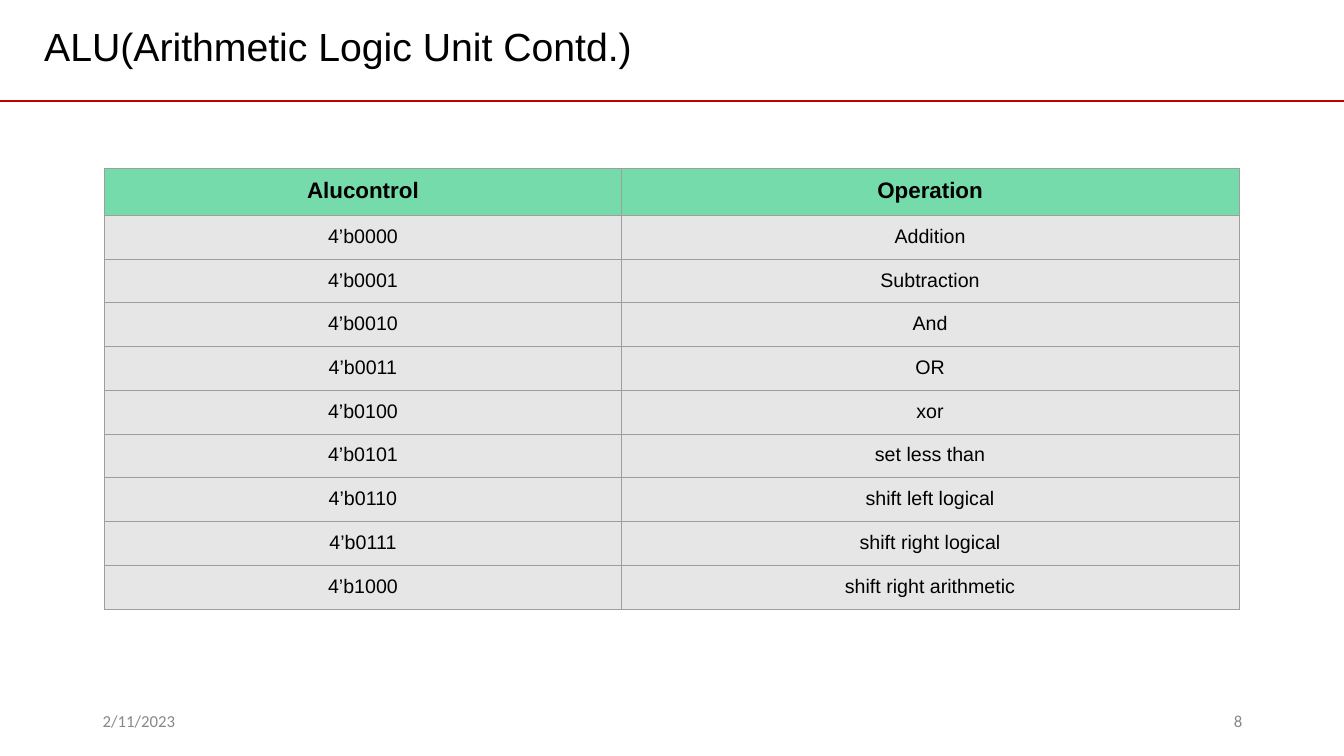
import pptx
import pptx.dml.color
import pptx.enum.shapes
import pptx.enum.text
import pptx.oxml
import pptx.oxml.ns
import pptx.util
from pptx.util import Inches

# Content
TITLE = "ALU(Arithmetic Logic Unit Contd.)"
DATE = "2/11/2023"
PAGE_NUMBER = "8"
HEADER = ("Alucontrol", "Operation")
OPERATIONS = ("Addition", "Subtraction", "And", "OR", "xor", "set less than",
              "shift left logical", "shift right logical", "shift right arithmetic")
ROWS = [HEADER] + [(f"4’b{code:04b}", name) for code, name in enumerate(OPERATIONS)]

# Layout and colours
WIDTH, HEIGHT = 13.33, 7.5
TABLE_LEFT, TABLE_TOP = 1.04, 1.67
COLUMN_WIDTHS = (5.12, 6.13)
ROW_HEIGHT = 0.42
BLACK, GREY, RED = "000000", "888888", "C00000"
HEADER_FILL, BODY_FILL, BORDER = "76DBAB", "E7E6E6", "9E9E9E"
ALIGN = pptx.enum.text.PP_ALIGN
ANCHOR = pptx.enum.text.MSO_ANCHOR


def color(value):
    return pptx.dml.color.RGBColor.from_string(value)


def write(frame, text, size=14, font="Arial", fill=BLACK, bold=False, align=ALIGN.LEFT):
    para = frame.paragraphs[0]
    para.alignment = align
    span = para.add_run()
    span.text = text
    span.font.size = pptx.util.Pt(size)
    span.font.name = font
    span.font.bold = bold
    span.font.color.rgb = color(fill)


def add_text(page, text, left, top, width, height, anchor=ANCHOR.TOP, **style):
    box = page.shapes.add_textbox(Inches(left), Inches(top), Inches(width), Inches(height))
    box.text_frame.word_wrap = True
    box.text_frame.vertical_anchor = anchor
    write(box.text_frame, text, **style)


def add_borders(cell):
    properties = cell._tc.get_or_add_tcPr()
    for index, side in enumerate(("lnL", "lnR", "lnT", "lnB")):
        properties.insert(index, pptx.oxml.parse_xml(
            f'<a:{side} {pptx.oxml.ns.nsdecls("a")} w="{pptx.util.Pt(0.75)}"><a:solidFill>'
            f'<a:srgbClr val="{BORDER}"/></a:solidFill></a:{side}>'))


def add_operations_table(page):
    frame = page.shapes.add_table(
        len(ROWS), len(HEADER), Inches(TABLE_LEFT), Inches(TABLE_TOP),
        Inches(sum(COLUMN_WIDTHS)), Inches(ROW_HEIGHT * len(ROWS)))
    table = frame.table
    for column, width in zip(table.columns, COLUMN_WIDTHS):
        column.width = Inches(width)
    for row_index, texts in enumerate(ROWS):
        is_header = row_index == 0
        table.rows[row_index].height = Inches(ROW_HEIGHT)
        for column_index, text in enumerate(texts):
            cell = table.cell(row_index, column_index)
            cell.margin_left = cell.margin_right = Inches(0.1)
            cell.margin_top = cell.margin_bottom = Inches(0.1)
            cell.fill.solid()
            cell.fill.fore_color.rgb = color(HEADER_FILL if is_header else BODY_FILL)
            add_borders(cell)
            write(cell.text_frame, text, size=16 if is_header else 14,
                  bold=is_header, align=ALIGN.CENTER)


def main():
    deck = pptx.Presentation()
    deck.slide_width, deck.slide_height = Inches(WIDTH), Inches(HEIGHT)
    page = deck.slides.add_slide(deck.slide_layouts[6])

    # Footer
    footer = dict(top=6.95, width=3, height=0.4, anchor=ANCHOR.MIDDLE,
                  size=12, font="Calibri", fill=GREY)
    add_text(page, DATE, left=0.92, **footer)
    add_text(page, PAGE_NUMBER, left=9.42, align=ALIGN.RIGHT, **footer)

    # Title and rule
    rule = page.shapes.add_connector(pptx.enum.shapes.MSO_CONNECTOR.STRAIGHT,
                                     0, Inches(1), Inches(WIDTH), Inches(1))
    rule.line.color.rgb = color(RED)
    rule.line.width = pptx.util.Pt(1.5)
    rule._element.spPr.append(pptx.oxml.parse_xml(
        f'<a:effectLst {pptx.oxml.ns.nsdecls("a")}/>'))
    add_text(page, TITLE, 0.34, 0.17, 8.58, 0.83, size=28)

    add_operations_table(page)
    deck.save("out.pptx")


if __name__ == "__main__":
    main()
